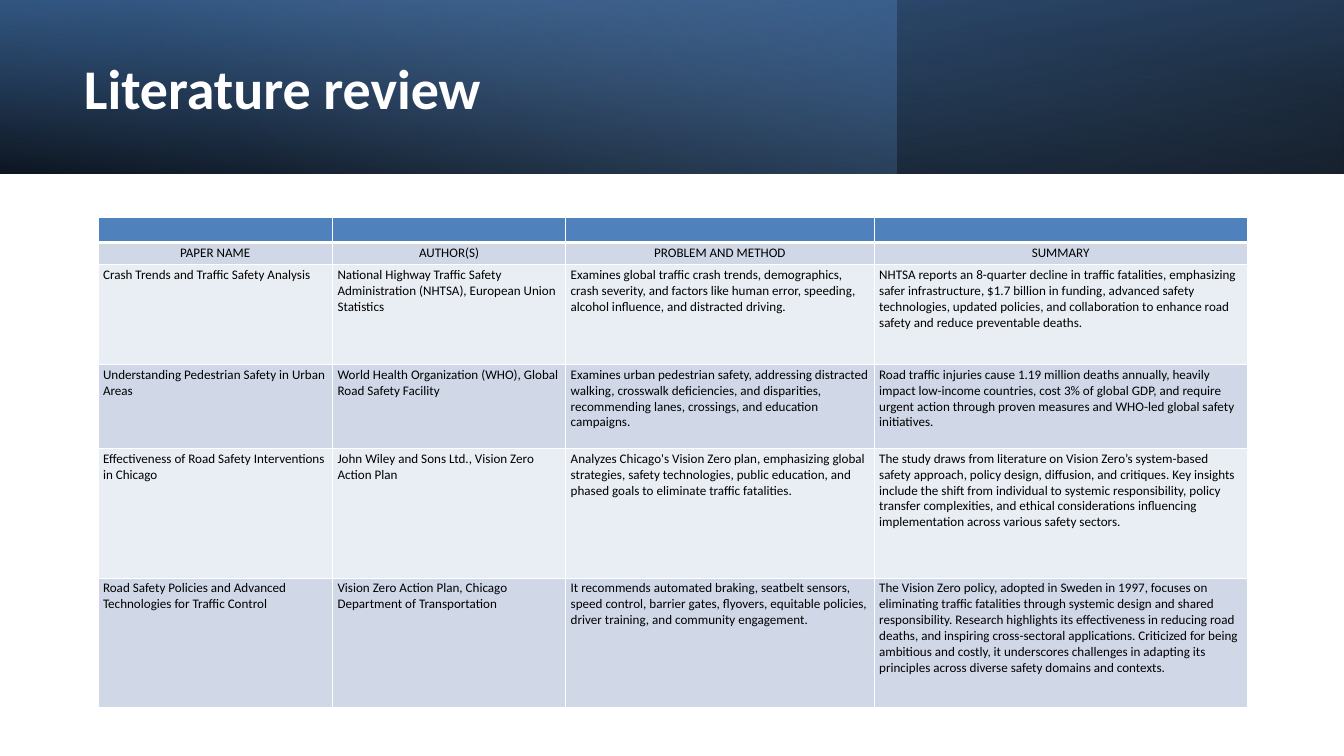
from lxml import etree
from pptx import Presentation
from pptx.dml.color import RGBColor
from pptx.enum.shapes import MSO_SHAPE
from pptx.enum.text import MSO_ANCHOR, PP_ALIGN
from pptx.oxml.ns import qn
from pptx.util import Pt

RECTANGLE = MSO_SHAPE.RECTANGLE
MIDDLE = MSO_ANCHOR.MIDDLE
LEFT, CENTER = PP_ALIGN.LEFT, PP_ALIGN.CENTER

WHITE = RGBColor(0xFF, 0xFF, 0xFF)
BLACK = RGBColor(0x00, 0x00, 0x00)
BLUE = RGBColor(0x4F, 0x81, 0xBD)
DARK_BLUE = RGBColor(0x37, 0x60, 0x92)
LIGHT_BLUE = RGBColor(0x95, 0xB3, 0xD7)
BAND_DARK = RGBColor(0xD0, 0xD8, 0xE8)
BAND_LIGHT = RGBColor(0xE9, 0xED, 0xF4)

SLIDE_WIDTH, SLIDE_HEIGHT = 1440, 810
BANNER_HEIGHT = 186

COLUMN_WIDTHS = [251.3, 249.8, 330.5, 399.6]
ROW_HEIGHTS = [27.4, 23.8, 106.6, 90, 139, 139]
HEADINGS = ["PAPER NAME", "AUTHOR(S)", "PROBLEM AND METHOD", "SUMMARY"]
PAPERS = [
    ["Crash Trends and Traffic Safety Analysis",
     "National Highway Traffic Safety Administration (NHTSA), European Union Statistics",
     "Examines global traffic crash trends, demographics, crash severity, and factors like "
     "human error, speeding, alcohol influence, and distracted driving.",
     "NHTSA reports an 8-quarter decline in traffic fatalities, emphasizing safer "
     "infrastructure, $1.7 billion in funding, advanced safety technologies, updated "
     "policies, and collaboration to enhance road safety and reduce preventable deaths."],
    ["Understanding Pedestrian Safety in Urban Areas",
     "World Health Organization (WHO), Global Road Safety Facility",
     "Examines urban pedestrian safety, addressing distracted walking, crosswalk "
     "deficiencies, and disparities, recommending lanes, crossings, and education campaigns.",
     "Road traffic injuries cause 1.19 million deaths annually, heavily impact low-income "
     "countries, cost 3% of global GDP, and require urgent action through proven measures "
     "and WHO-led global safety initiatives."],
    ["Effectiveness of Road Safety Interventions in Chicago",
     "John Wiley and Sons Ltd., Vision Zero Action Plan",
     "Analyzes Chicago's Vision Zero plan, emphasizing global strategies, safety "
     "technologies, public education, and phased goals to eliminate traffic fatalities.",
     "The study draws from literature on Vision Zero’s system-based safety approach, policy "
     "design, diffusion, and critiques. Key insights include the shift from individual to "
     "systemic responsibility, policy transfer complexities, and ethical considerations "
     "influencing implementation across various safety sectors."],
    ["Road Safety Policies and Advanced Technologies for Traffic Control",
     "Vision Zero Action Plan, Chicago Department of Transportation",
     "It recommends automated braking, seatbelt sensors, speed control, barrier gates, "
     "flyovers, equitable policies, driver training, and community engagement.",
     "The Vision Zero policy, adopted in Sweden in 1997, focuses on eliminating traffic "
     "fatalities through systemic design and shared responsibility. Research highlights its "
     "effectiveness in reducing road deaths, and inspiring cross-sectoral applications. "
     "Criticized for being ambitious and costly, it underscores challenges in adapting its "
     "principles across diverse safety domains and contexts."],
]


class SlideBuilder:
    font_name = "Calibri"
    cell_margins = {"margin_left": Pt(5.4), "margin_right": Pt(5.4),
                    "margin_top": Pt(2.7), "margin_bottom": Pt(2.7)}

    def __init__(self, slide):
        self.slide = slide

    def add_text(self, paragraph, text, size, color, bold=False):
        run = paragraph.add_run()
        run.text = text
        run.font.color.rgb = color
        style = {"name": self.font_name, "size": Pt(size), "bold": bold}
        for name, value in style.items():
            setattr(run.font, name, value)

    def gradient_panel(self, width, stops, angle, rotation=0, flipped=False):
        """Stops are (position, colour, opacity in percent); angle runs clockwise."""
        panel = self.slide.shapes.add_shape(RECTANGLE, 0, 0, Pt(width), Pt(BANNER_HEIGHT))
        panel.shadow.inherit = False
        panel.line.fill.background()
        panel.rotation = rotation
        if flipped:
            panel._element.spPr.find(qn("a:xfrm")).set("flipH", "1")
        panel.fill.gradient()
        panel.fill.gradient_angle = 360 - angle
        for stop, (position, color, _) in zip(panel.fill.gradient_stops, stops):
            stop.position = position / 100
            stop.color.rgb = color
        colors = panel._element.spPr.iter(qn("a:srgbClr"))
        for color_element, (_, _, opacity) in zip(list(colors), stops):
            etree.SubElement(color_element, qn("a:alpha"), val=str(opacity * 1000))

    def title(self, text, left, top, width, height):
        box = self.slide.shapes.add_textbox(Pt(left), Pt(top), Pt(width), Pt(height))
        frame = box.text_frame
        frame.word_wrap = True
        frame.vertical_anchor = MIDDLE
        paragraph = frame.paragraphs[0]
        paragraph.line_spacing = 0.9
        paragraph.space_after = Pt(6)
        self.add_text(paragraph, text, 60, WHITE, bold=True)

    def borders(self, cell, top=1, bottom=1):
        properties = cell._tc.get_or_add_tcPr()
        sides = {"lnL": 1, "lnR": 1, "lnT": top, "lnB": bottom}
        for index, (side, weight) in enumerate(sides.items()):
            line = etree.Element(qn("a:" + side), w=str(Pt(weight)))
            fill = etree.SubElement(line, qn("a:solidFill"))
            etree.SubElement(fill, qn("a:srgbClr"), val=str(WHITE))
            properties.insert(index, line)

    def cell(self, cell, text, fill, align):
        cell.fill.solid()
        cell.fill.fore_color.rgb = fill
        for name, value in self.cell_margins.items():
            setattr(cell, name, value)
        if text:
            paragraph = cell.text_frame.paragraphs[0]
            paragraph.alignment = align
            self.add_text(paragraph, text, 14, BLACK)

    def table(self, rows, left, top):
        table = self.slide.shapes.add_table(
            len(rows), len(COLUMN_WIDTHS), Pt(left), Pt(top),
            Pt(sum(COLUMN_WIDTHS)), Pt(sum(ROW_HEIGHTS))).table
        for column, width in zip(table.columns, COLUMN_WIDTHS):
            column.width = Pt(width)
        for row_index, texts in enumerate(rows):
            table.rows[row_index].height = Pt(ROW_HEIGHTS[row_index])
            band = BAND_DARK if row_index % 2 else BAND_LIGHT
            fill = band if row_index else BLUE
            align = CENTER if row_index == 1 else LEFT
            for column_index, text in enumerate(texts):
                cell = table.cell(row_index, column_index)
                self.cell(cell, text, fill, align)
                self.borders(cell, top=3 if row_index == 1 else 1,
                             bottom=1 if row_index else 3)


def main():
    presentation = Presentation()
    presentation.slide_width = Pt(SLIDE_WIDTH)
    presentation.slide_height = Pt(SLIDE_HEIGHT)
    builder = SlideBuilder(presentation.slides.add_slide(presentation.slide_layouts[6]))

    # Banner of layered gradients
    builder.gradient_panel(SLIDE_WIDTH, [(0, BLACK, 96), (100, DARK_BLUE, 100)],
                           100, rotation=180, flipped=True)
    builder.gradient_panel(960, [(0, BLUE, 41), (74, LIGHT_BLUE, 0)], 140)
    builder.gradient_panel(SLIDE_WIDTH, [(0, BLACK, 63), (78, BLUE, 15)], 260, flipped=True)

    # Title
    builder.title("Literature review", 82.8, 29.5, 834.5, 136.8)

    # Papers under an empty coloured strip
    empty_strip = [""] * len(COLUMN_WIDTHS)
    builder.table([empty_strip, HEADINGS, *PAPERS], 105, 232.6)

    presentation.save("out.pptx")


if __name__ == "__main__":
    main()
